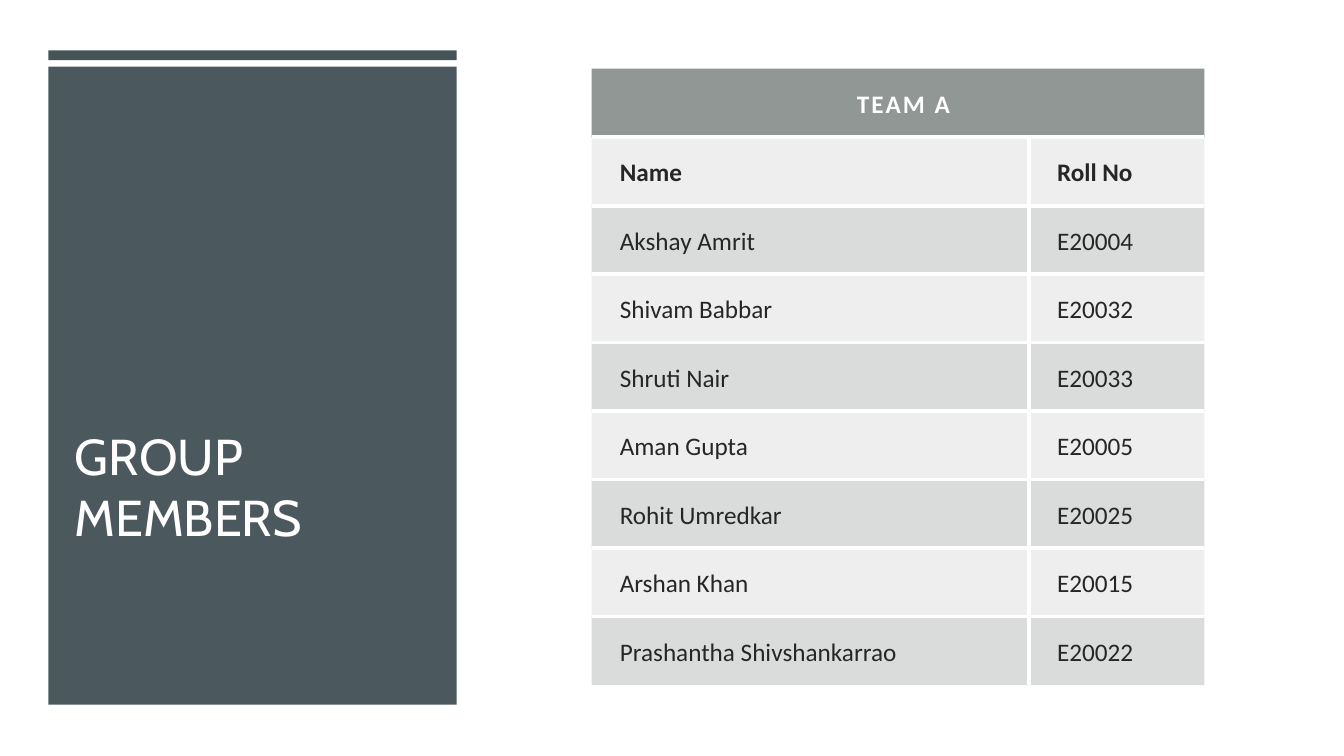
from lxml import etree
from pptx import Presentation
from pptx import util as u
from pptx.dml import color
from pptx.enum import shapes, text
from pptx.oxml import ns

WHITE, SLATE, INK = "FFFFFF", "465359", "262626"
HEADER, BAND = "636B68", "878E8B"
MEMBERS = [
    ("Name", "Roll No"),
    ("Akshay Amrit", "E20004"),
    ("Shivam Babbar", "E20032"),
    ("Shruti Nair", "E20033"),
    ("Aman Gupta", "E20005"),
    ("Rohit Umredkar", "E20025"),
    ("Arshan Khan", "E20015"),
    ("Prashantha Shivshankarrao", "E20022"),
]


def rgb(value):
    return color.RGBColor.from_string(value)


class Deck:
    title_font, body_font = "Cabin", "Calibri"
    no_table_style = "{2D5ABB26-0587-4C30-8999-92F81FD0307C}"

    def __init__(self):
        self.prs = Presentation()
        self.prs.slide_width, self.prs.slide_height = u.Cm(33.87), u.Cm(19.05)
        self.s = self.prs.slides.add_slide(self.prs.slide_layouts[5])

    def fill(self, target, value, opacity=100):
        target.fill.solid()
        target.fill.fore_color.rgb = rgb(value)
        if opacity < 100:
            for clr in target.fill._xPr.iter(ns.qn("a:srgbClr")):
                etree.SubElement(clr, ns.qn("a:alpha"), val=str(opacity * 1000))

    def rect(self, parent, box, value, opacity=100):
        sp = parent.add_shape(shapes.MSO_SHAPE.RECTANGLE, *map(u.Cm, box))
        sp.shadow.inherit = False
        sp.line.fill.background()
        self.fill(sp, value, opacity)
        return sp

    def style(self, p, font, size, value, bold=False, align=text.PP_ALIGN.LEFT):
        p.alignment = align
        for r in p.runs:
            r.font.name, r.font.size, r.font.bold = font, u.Pt(size), bold
            r.font.color.rgb = rgb(value)

    def title(self, wording, box):
        sp = self.s.shapes.title
        sp.left, sp.top, sp.width, sp.height = map(u.Cm, box)
        tf = sp.text_frame
        tf.text = wording
        tf.word_wrap, tf.auto_size = True, text.MSO_AUTO_SIZE.NONE
        tf.vertical_anchor = text.MSO_ANCHOR.BOTTOM
        self.style(tf.paragraphs[0], self.title_font, 36, WHITE)
        return sp

    def borders(self, cell, sides):
        tcPr = cell._tc.get_or_add_tcPr()
        for i, side in enumerate(sides):
            ln = etree.Element(ns.qn(f"a:ln{side}"), w=str(u.Pt(3)))
            solid = etree.SubElement(ln, ns.qn("a:solidFill"))
            etree.SubElement(solid, ns.qn("a:srgbClr"), val=WHITE)
            tcPr.insert(i, ln)

    def cell(self, cell, wording, value, opacity, font_color, bold, align):
        cell.text = wording
        cell.vertical_anchor = text.MSO_ANCHOR.BOTTOM
        cell.margin_left = u.Cm(0.71)
        cell.margin_right = cell.margin_top = cell.margin_bottom = u.Cm(0.43)
        self.fill(cell, value, opacity)
        self.style(cell.text_frame.paragraphs[0], self.body_font, 18,
                   font_color, bold, align)

    def table(self, heading, rows, box, widths):
        count = len(rows) + 1
        frame = self.s.shapes.add_table(count, len(widths), *map(u.Cm, box))
        tbl = frame.table
        tbl.first_row = tbl.horz_banding = False
        for style_id in frame.element.iter(ns.qn("a:tableStyleId")):
            style_id.text = self.no_table_style
        for column, width in zip(tbl.columns, widths):
            column.width = u.Cm(width)

        # Heading across all columns
        top = tbl.cell(0, 0)
        top.merge(tbl.cell(0, len(widths) - 1))
        self.cell(top, heading, HEADER, 70, WHITE, True, text.PP_ALIGN.CENTER)
        top.text_frame.paragraphs[0].runs[0].font._element.set("spc", "150")
        for c in range(len(widths)):
            self.borders(tbl.cell(0, c), "B")

        # Banded rows with white inner rules
        for r, row in enumerate(rows, 1):
            for c, wording in enumerate(row):
                cell = tbl.cell(r, c)
                self.cell(cell, wording, BAND, 15 if r % 2 else 30, INK,
                          r == 1, text.PP_ALIGN.LEFT)
                sides = ("L" if c else "R") + "T"
                self.borders(cell, sides + ("B" if r < count - 1 else ""))


def main():
    deck = Deck()

    # Backdrop and side panel, placed behind the title
    backdrop = deck.rect(deck.s.shapes, (0, 0, 33.87, 19.05), WHITE)
    panel = deck.s.shapes.add_group_shape()
    deck.rect(panel.shapes, (1.22, 1.68, 10.29, 16.08), SLATE, 97)
    deck.rect(panel.shapes, (1.22, 1.27, 10.29, 0.25), SLATE)
    title = deck.title("GROUP MEMBERS", (1.63, 4.24, 9.47, 9.65))
    for sp in (backdrop, panel):
        title.element.addprevious(sp.element)

    # Team list
    deck.table("TEAM A", MEMBERS, (14.91, 1.73, 15.44, 15.54), (11.02, 4.42))
    deck.prs.save("out.pptx")


if __name__ == "__main__":
    main()
